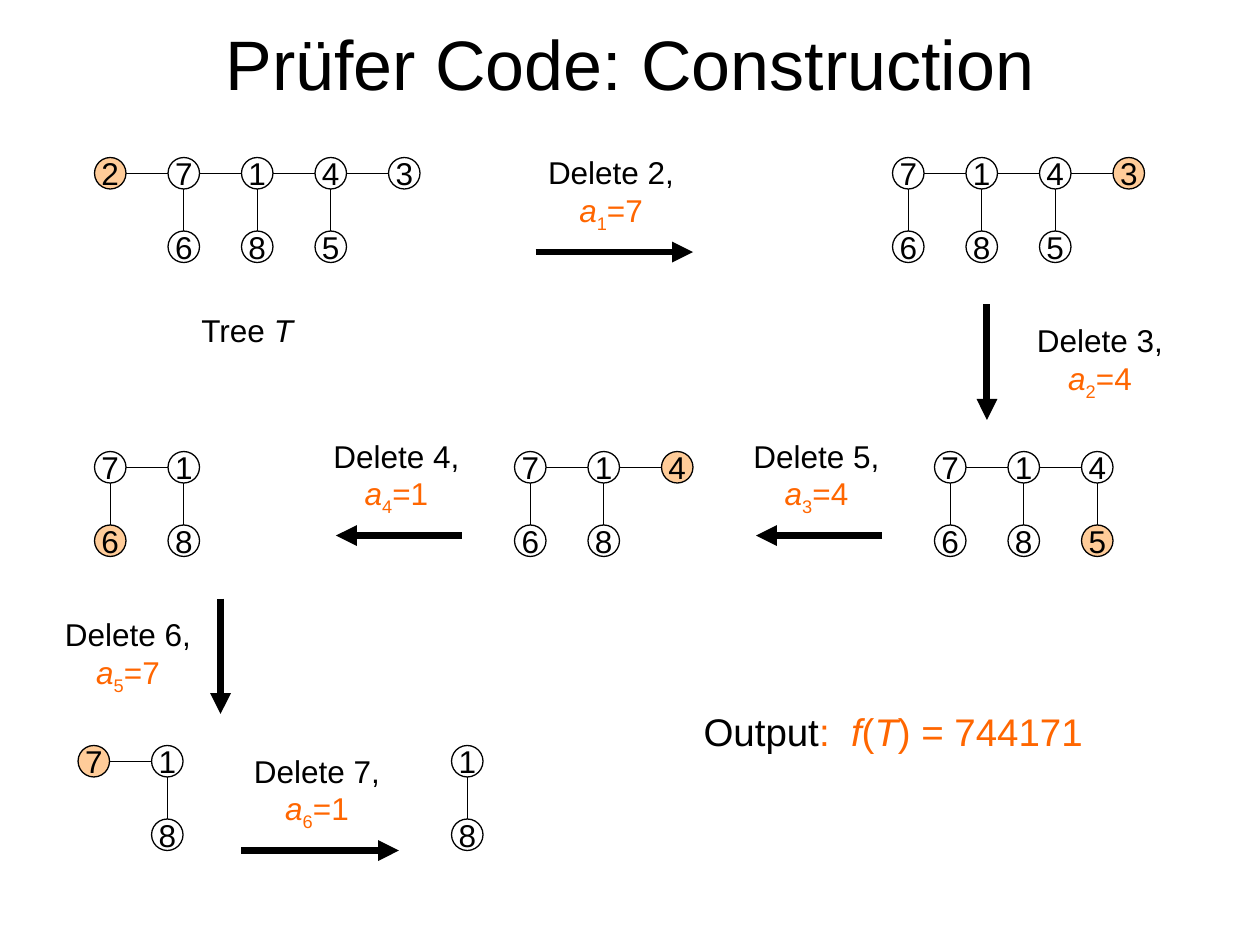
from pptx import Presentation
from pptx.dml.color import RGBColor
from pptx.enum.shapes import MSO_CONNECTOR as CXN, MSO_SHAPE as SHAPE
from pptx.enum.text import MSO_ANCHOR as ANCHOR, PP_ALIGN as ALIGN
from pptx.oxml.ns import qn
from pptx.util import Pt
from lxml.etree import SubElement

COLORS = {"ink": "000000", "accent": "FF6600", "leaf": "FFCC99"}
NODE, PITCH = 18, 42  # node diameter and distance between node centres


class Board:
    """Holds the style and the slide being drawn."""

    font = "Arial"
    size = 18

    def __init__(self, slide):
        self.slide = slide

    def color(self, name):
        return RGBColor.from_string(COLORS[name])

    def style(self, p, size, align):
        p.alignment = align
        p.font.name, p.font.size = self.font, Pt(size)
        p.font.color.rgb = self.color("ink")

    def text(self, x, y, w, h, lines, size=size, align=ALIGN.CENTER, wrap=False):
        """Each line is a list of (text, flags): a accent, i italic, s subscript."""
        tf = self.slide.shapes.add_textbox(Pt(x), Pt(y), Pt(w), Pt(h)).text_frame
        tf.word_wrap = wrap
        for i, runs in enumerate(lines):
            p = tf.add_paragraph() if i else tf.paragraphs[0]
            self.style(p, size, align)
            for content, flags in runs:
                r = p.add_run()
                r.text = content
                if "a" in flags:
                    r.font.color.rgb = self.color("accent")
                if "i" in flags:
                    r.font.italic = True
                if "s" in flags:
                    r._r.get_or_add_rPr().set("baseline", "-25000")
        return tf

    def line(self, x1, y1, x2, y2, width=0.75, arrow=False):
        cxn = self.slide.shapes.add_connector(
            CXN.STRAIGHT, Pt(x1), Pt(y1), Pt(x2), Pt(y2))
        cxn.line.width = Pt(width)
        cxn.line.color.rgb = self.color("ink")
        if arrow:
            SubElement(cxn.line._get_or_add_ln(), qn("a:tailEnd"), type="triangle")
        SubElement(cxn._element.spPr, qn("a:effectLst"))

    def node(self, x, y, label, marked):
        sp = self.slide.shapes.add_shape(SHAPE.OVAL, Pt(x), Pt(y), Pt(NODE), Pt(NODE))
        sp.shadow.inherit = False
        if marked:
            sp.fill.solid()
            sp.fill.fore_color.rgb = self.color("leaf")
        else:
            sp.fill.background()
        sp.line.width = Pt(0.75)
        sp.line.color.rgb = self.color("ink")
        tf = sp.text_frame
        tf.word_wrap = False
        tf.vertical_anchor = ANCHOR.MIDDLE
        tf.margin_left = tf.margin_right = tf.margin_top = tf.margin_bottom = 0
        p = tf.paragraphs[0]
        p.text = label
        self.style(p, self.size, ALIGN.CENTER)

    def tree(self, x, y, top, bottom, leaf):
        """Top nodes form a path; each bottom node hangs below its column."""
        mid = NODE / 2
        for row, labels in enumerate((top, bottom)):
            for col, label in enumerate(labels):
                if label == " ":
                    continue
                nx, ny = x + col * PITCH, y + row * PITCH
                self.node(nx, ny, label, label == leaf)
                if row:
                    self.line(nx + mid, ny - PITCH + NODE, nx + mid, ny)
                elif col:
                    self.line(nx - PITCH + NODE, ny + mid, nx, ny + mid)

    def step(self, number, leaf, code, x, y, arrow):
        self.text(x, y, 86.4, 50.4, [
            [(f"Delete {leaf},", "")],
            [("a", "ai"), (str(number), "as"), (f"={code}", "a")],
        ])
        self.line(*arrow, width=4, arrow=True)


# x, y, top row, bottom row, leaf to delete
TREES = [
    (54, 90, "27143", " 685", "2"),
    (510, 90, "7143", "685", "3"),
    (534, 258, "714", "685", "5"),
    (294, 258, "714", "68", "4"),
    (54, 258, "71", "68", "6"),
    (44.6, 426, "71", " 8", "7"),
    (258, 426, "1", "8", None),
]

# deleted leaf, code digit, label x, label y, arrow ends
STEPS = [
    (2, 7, 306, 84, (306, 144, 396, 144)),
    (3, 4, 585.4, 180, (564, 174, 564, 240)),
    (5, 4, 423.4, 246, (504, 306, 432, 306)),
    (4, 1, 183.4, 246, (264, 306, 192, 306)),
    (6, 7, 30, 348, (126, 342, 126, 408)),
    (7, 1, 138, 426, (138, 486, 228, 486)),
]


def main():
    prs = Presentation()
    prs.slide_width, prs.slide_height = Pt(720), Pt(540)
    board = Board(prs.slides.add_slide(prs.slide_layouts[6]))

    # Title
    title = board.text(36, 12, 648, 48, [[("Prüfer Code: Construction", "")]],
                       size=40, wrap=True)
    title.vertical_anchor = ANCHOR.MIDDLE

    # Shrinking trees and the steps between them
    for tree in TREES:
        board.tree(*tree)
    for number, step in enumerate(STEPS, 1):
        board.step(number, *step)

    # Captions
    board.text(108, 174, 67.6, 28.8, [[("Tree ", ""), ("T", "i")]], align=ALIGN.LEFT)
    board.text(395, 401, 232, 34, [[
        ("Output", ""), (":  ", "a"), ("f", "ai"), ("(", "a"), ("T", "ai"),
        (") = 744171", "a"),
    ]], size=22, align=ALIGN.LEFT)

    prs.save("out.pptx")


if __name__ == "__main__":
    main()
